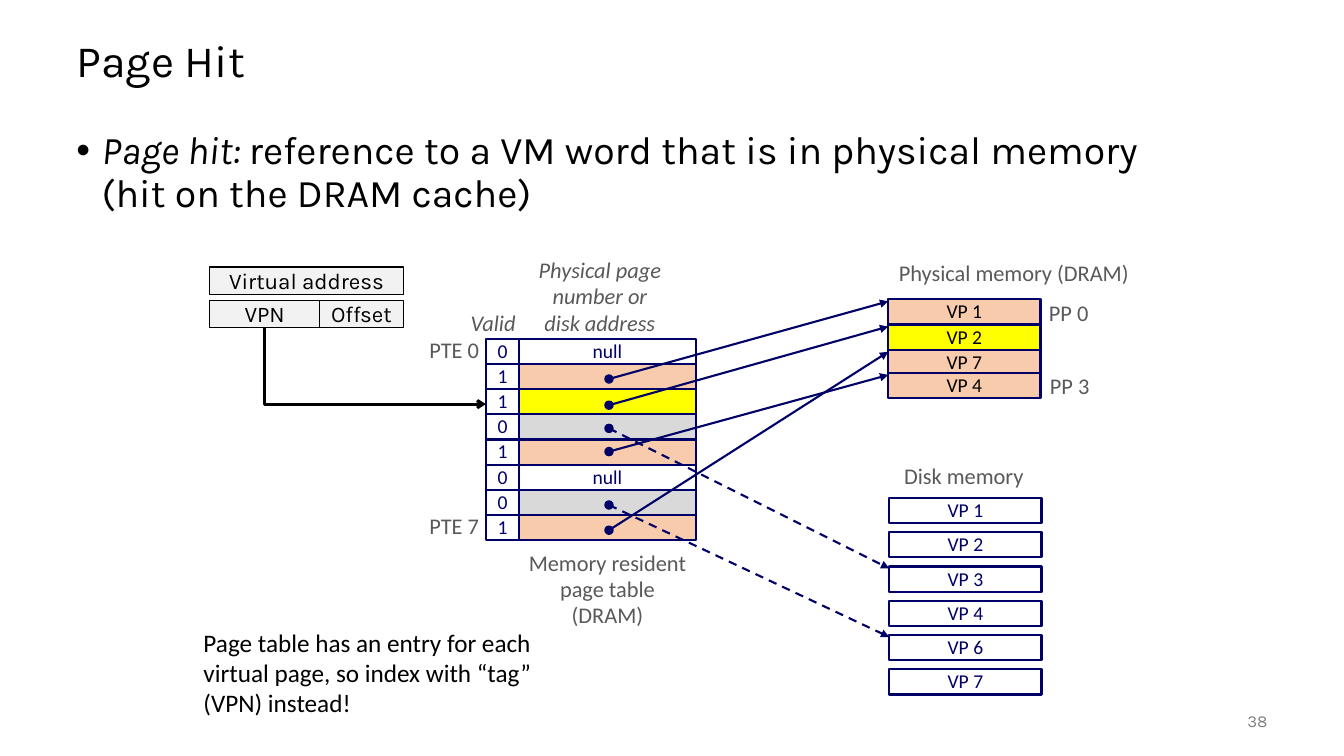
import pptx
import pptx.dml.color
import pptx.enum.dml
import pptx.enum.shapes
import pptx.enum.text
import pptx.oxml
import pptx.oxml.ns
import pptx.util

PX = 9144  # EMU per px, 100 px to the inch
ALIGN = pptx.enum.text.PP_ALIGN
ANCHOR = pptx.enum.text.MSO_ANCHOR
SHAPE = pptx.enum.shapes.MSO_SHAPE
CONNECTOR = pptx.enum.shapes.MSO_CONNECTOR


class Theme:
    navy, black, white = "000066", "000000", "FFFFFF"
    cached, hit, on_disk, address = "F8CBAD", "FFFF00", "D9D9D9", "F2F2F2"
    # style: colour, font format
    text = {
        "title": (black, dict(name="Karla", size=32)),
        "body": (black, dict(name="Karla", size=28)),
        "term": (black, dict(name="Karla", size=28, italic=True)),
        "address": (black, dict(name="Karla", size=16)),
        "number": ("808080", dict(name="Karla", size=12)),
        "note": (black, dict(name="Calibri", size=18)),
        "label": ("595959", dict(name="Calibri", size=16)),
        "heading": ("595959", dict(name="Calibri", size=16, italic=True)),
        "cell": (navy, dict(name="Calibri", size=14)),
        "page": (black, dict(name="Calibri", size=14)),
    }


def px(*lengths):
    return [pptx.util.Emu(length * PX) for length in lengths]


def rgb(value):
    return pptx.dml.color.RGBColor.from_string(value)


def add_run(p, text, style):
    r = p.add_run()
    r.text = text
    colour, formats = Theme.text[style]
    for key, value in formats.items():
        setattr(r.font, key, pptx.util.Pt(value) if key == "size" else value)
    r.font.color.rgb = rgb(colour)


def write(sp, lines, style, align=ALIGN.CENTER, anchor=ANCHOR.MIDDLE,
          wrap=False, spacing=0.98):
    """Fill a shape with one paragraph per line."""
    tf = sp.text_frame
    tf.word_wrap, tf.vertical_anchor = wrap, anchor
    for i, line in enumerate(lines):
        p = tf.add_paragraph() if i else tf.paragraphs[0]
        p.alignment, p.line_spacing = align, spacing
        add_run(p, line, style)


def add_label(s, box, lines, style="label", **layout):
    write(s.shapes.add_textbox(*px(*box)), lines, style, **layout)


def add_box(s, box, fill, line=Theme.navy, width=1.5, kind=SHAPE.RECTANGLE):
    sp = s.shapes.add_shape(kind, *px(*box))
    sp.shadow.inherit = False
    if fill:
        sp.fill.solid()
        sp.fill.fore_color.rgb = rgb(fill)
    else:
        sp.fill.background()
    sp.line.color.rgb = rgb(line)
    sp.line.width = pptx.util.Pt(width)
    return sp


def add_arrow(s, start, end, kind=CONNECTOR.STRAIGHT, colour=Theme.navy,
              width=1.5, dashed=False, end_tag="tailEnd", head="triangle"):
    c = s.shapes.add_connector(kind, *px(*start, *end))
    c.line.color.rgb = rgb(colour)
    c.line.width = pptx.util.Pt(width)
    if dashed:
        c.line.dash_style = pptx.enum.dml.MSO_LINE.DASH
    sp_pr = c._element.spPr
    ln = c.line._get_or_add_ln()
    ln.append(pptx.oxml.parse_xml(
        f'<a:{end_tag} {pptx.oxml.ns.nsdecls("a")} type="{head}"/>'))
    sp_pr.append(pptx.oxml.parse_xml(f'<a:effectLst {pptx.oxml.ns.nsdecls("a")}/>'))
    return c


def add_title(s, box):
    add_label(s, box, ["Page Hit"], "title", align=ALIGN.LEFT, wrap=True, spacing=0.9)


def add_definition(s, box):
    tf = s.shapes.add_textbox(*px(*box)).text_frame
    tf.word_wrap = True
    p = tf.paragraphs[0]
    p.line_spacing = 0.9
    p_pr = p._p.get_or_add_pPr()
    p_pr.set("marL", str(25 * PX))
    p_pr.set("indent", str(-25 * PX))
    for tag, key, value in (("buFont", "typeface", "Arial"), ("buChar", "char", "•")):
        p_pr.append(pptx.oxml.parse_xml(
            f'<a:{tag} {pptx.oxml.ns.nsdecls("a")} {key}="{value}"/>'))
    add_run(p, "Page hit: ", "term")
    add_run(p, "reference to a VM word that is in physical memory", "body")
    p.add_line_break()
    add_run(p, "(hit on the DRAM cache)", "body")


def add_virtual_address(s, box):
    """Draw the address fields; return the point below VPN."""
    x, y, w, h = box
    vpn = 109
    fields = ((0, 0, w, "Virtual address"), (0, 33, vpn, "VPN"),
              (vpn, 33, w - vpn, "Offset"))
    for dx, dy, width, name in fields:
        sp = add_box(s, (x + dx, y + dy, width, h), Theme.address, Theme.black, 1)
        write(sp, [name], "address", spacing=1)
    return x + vpn // 2, y + 33 + h


def add_page_table(s, box, row_h):
    """Draw the page table; return the dot centre of each row that has one."""
    x, y, w, _ = box
    valid_w = 33
    # valid bit, fill, depth of the dot within the row
    rows = (("0", Theme.white, None), ("1", Theme.cached, 15), ("1", Theme.hit, 16),
            ("0", Theme.on_disk, 14), ("1", Theme.cached, 12), ("0", Theme.white, None),
            ("0", Theme.on_disk, 15), ("1", Theme.cached, 15))
    dots = {}
    for i, (bit, fill, depth) in enumerate(rows):
        top = y + i * row_h
        write(add_box(s, (x, top, valid_w, row_h), None), [bit], "cell")
        entry = add_box(s, (x + valid_w, top, w - valid_w, row_h), fill)
        if depth is None:
            write(entry, ["null"], "cell")
        else:
            dots[i] = x + 122, top + depth
    for cx, cy in dots.values():
        add_box(s, (cx - 4, cy - 4, 8, 8), Theme.navy, width=1, kind=SHAPE.OVAL)
    add_label(s, (x - 25, y - 33, 75, 37), ["Valid"], "heading",
              align=ALIGN.LEFT, anchor=ANCHOR.TOP, wrap=True)
    add_label(s, (x + 40, y - 86, 146, 89),
              ["Physical page", "number or", "disk address"], "heading")
    for i in (0, 7):
        add_label(s, (x - 67, y - 7 + i * row_h, 70, 37), [f"PTE {i}"], align=ALIGN.RIGHT)
    add_label(s, (x + 28, y + 205, 185, 89),
              ["Memory resident", "page table", "(DRAM)"], anchor=ANCHOR.TOP)
    return dots


def add_memory(s, box, title, title_box, pages, style):
    """Draw (number, offset, fill) pages; return where arrows meet each page."""
    x, y, w, h = box
    add_label(s, title_box, [title], anchor=ANCHOR.TOP)
    for number, dy, fill in pages:
        write(add_box(s, (x, y + dy, w, h), fill), [f"VP {number}"], style)
    return {number: (x, y + dy + 2) for number, dy, _ in pages}


def add_physical_memory(s, box):
    x, y, w, _ = box
    pages = ((1, 0, Theme.cached), (7, 50, Theme.cached),
             (4, 73, Theme.cached), (2, 25, Theme.hit))
    for name, dx, dy in (("PP 0", -2, -4), ("PP 3", -1, 68)):
        add_label(s, (x + w + dx, y + dy, 60, 37), [name])
    return add_memory(s, box, "Physical memory (DRAM)", (x - 25, y - 44, 299, 37),
                      pages, "page")


def add_disk_memory(s, box):
    x, y = box[:2]
    pages = [(n, i * 34, Theme.white) for i, n in enumerate((1, 2, 3, 4, 6, 7))]
    return add_memory(s, box, "Disk memory", (x + 4, y - 39, 140, 37), pages, "cell")


def add_page_hit_slide(prs):
    s = prs.slides.add_slide(prs.slide_layouts[6])
    add_title(s, (66, 25, 1200, 75))
    add_definition(s, (66, 125, 1200, 550))
    vpn = add_virtual_address(s, (208, 265, 192, 27))
    table = 482, 336, 208, 200
    dots = add_page_table(s, table, 25)
    ram = add_physical_memory(s, (881, 297, 151, 25))
    disk = add_disk_memory(s, (882, 494, 151, 25))
    for row, page in ((1, 1), (2, 2), (4, 4), (7, 7)):
        add_arrow(s, dots[row], ram[page])
    for row, page in ((3, 3), (6, 6)):
        add_arrow(s, dots[row], disk[page], dashed=True)
    # Runs left from the table row, then up to VPN; the arrowhead is at its start
    lookup = add_arrow(s, (table[0], 401), vpn, CONNECTOR.ELBOW, Theme.black, 2,
                       end_tag="headEnd", head="arrow")
    lookup._element.spPr.prstGeom.set("prst", "bentConnector2")
    add_label(s, (192, 617, 357, 101),
              ["Page table has an entry for each", "virtual page, so index with “tag”",
               "(VPN) instead!"],
              "note", align=ALIGN.LEFT, anchor=ANCHOR.TOP, wrap=True, spacing=1)
    add_label(s, (1167, 695, 100, 40), ["38"], "number",
              align=ALIGN.RIGHT, wrap=True, spacing=1)


def main():
    prs = pptx.Presentation()
    prs.slide_width, prs.slide_height = px(1333, 750)
    add_page_hit_slide(prs)
    prs.save("out.pptx")


if __name__ == "__main__":
    main()
